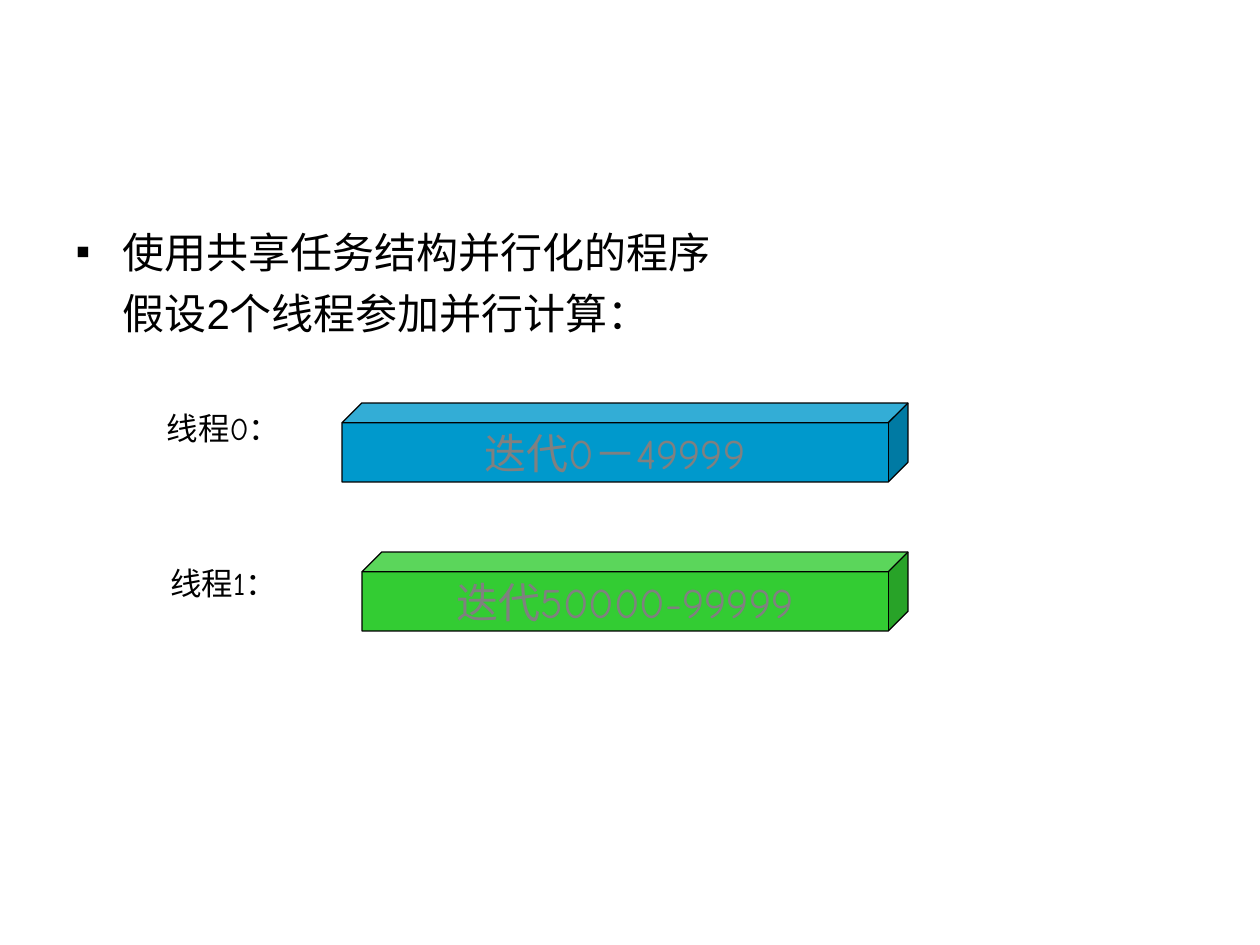
import pptx
import pptx.util
import pptx.dml.color
import pptx.enum.shapes
import pptx.enum.text
import pptx.oxml.ns
import lxml.etree

COLORS = {"text": "000000", "muted": "808080", "blue": "0099CC", "green": "33CC33"}
CENTER = pptx.enum.text.PP_ALIGN.CENTER
LEFT = pptx.enum.text.PP_ALIGN.LEFT


def px(length):
    return pptx.util.Emu(round(length * 914400 / 126))


def color(name):
    return pptx.dml.color.RGBColor.from_string(COLORS[name])


def write(para, text, size=18, font="Comic Neue", ink="text", align=CENTER, before=0):
    para.alignment = align
    para.space_before = pptx.util.Pt(before)
    span = para.add_run()
    span.text = text
    span.font.size = pptx.util.Pt(size)
    span.font.name = font
    span.font.color.rgb = color(ink)


class SlideBuilder:
    def __init__(self, deck):
        self.page = deck.slides.add_slide(deck.slide_layouts[1])
        title = self.page.shapes.title.element
        title.getparent().remove(title)

    def bullet(self, para, mark):
        properties = para._p.get_or_add_pPr()
        properties.set("marL", str(px(47)))
        properties.set("indent", str(px(-47) if mark else 0))
        tag = "a:buChar" if mark else "a:buNone"
        element = lxml.etree.SubElement(properties, pptx.oxml.ns.qn(tag))
        if mark:
            element.set("char", mark)

    def body(self, left, top, width, height, lines):
        box = self.page.placeholders[1]
        box.left, box.top, box.width, box.height = map(px, (left, top, width, height))
        frame = box.text_frame
        frame.auto_size = pptx.enum.text.MSO_AUTO_SIZE.NONE
        for index, (mark, text) in enumerate(lines):
            para = frame.add_paragraph() if index else frame.paragraphs[0]
            self.bullet(para, mark)
            write(para, text, size=24, font="Arial", align=LEFT, before=6 if index else 0)

    def label(self, left, top, width, height, text):
        box = self.page.shapes.add_textbox(*map(px, (left, top, width, height)))
        box.text_frame.word_wrap = True
        write(box.text_frame.paragraphs[0], text)

    def cube(self, left, top, width, height, text, fill):
        kind = pptx.enum.shapes.MSO_SHAPE.CUBE
        box = self.page.shapes.add_shape(kind, *map(px, (left, top, width, height)))
        box.adjustments[0] = 0.25
        box.shadow.inherit = False
        box.fill.solid()
        box.fill.fore_color.rgb = color(fill)
        box.line.color.rgb = color("text")
        box.line.width = pptx.util.Pt(0.75)
        frame = box.text_frame
        frame.word_wrap = False
        frame.vertical_anchor = pptx.enum.text.MSO_ANCHOR.MIDDLE
        write(frame.paragraphs[0], text, size=24, ink="muted")


def main():
    deck = pptx.Presentation()
    deck.slide_width, deck.slide_height = px(1260), px(945)
    builder = SlideBuilder(deck)
    builder.body(63, 220, 1134, 624, [
        ("▪", "使用共享任务结构并行化的程序"),
        (None, "假设2个线程参加并行计算："),
    ])
    threads = [
        ("线程0：", 403, "迭代0－49999", 342, 403, "blue"),
        ("线程1：", 558, "迭代50000-99999", 362, 552, "green"),
    ]
    cube_right = 908
    for name, label_top, work, left, top, fill in threads:
        builder.label(144, label_top, 159, 50, name)
        builder.cube(left, top, cube_right - left, 79, work, fill)
    deck.save("out.pptx")


if __name__ == "__main__":
    main()
